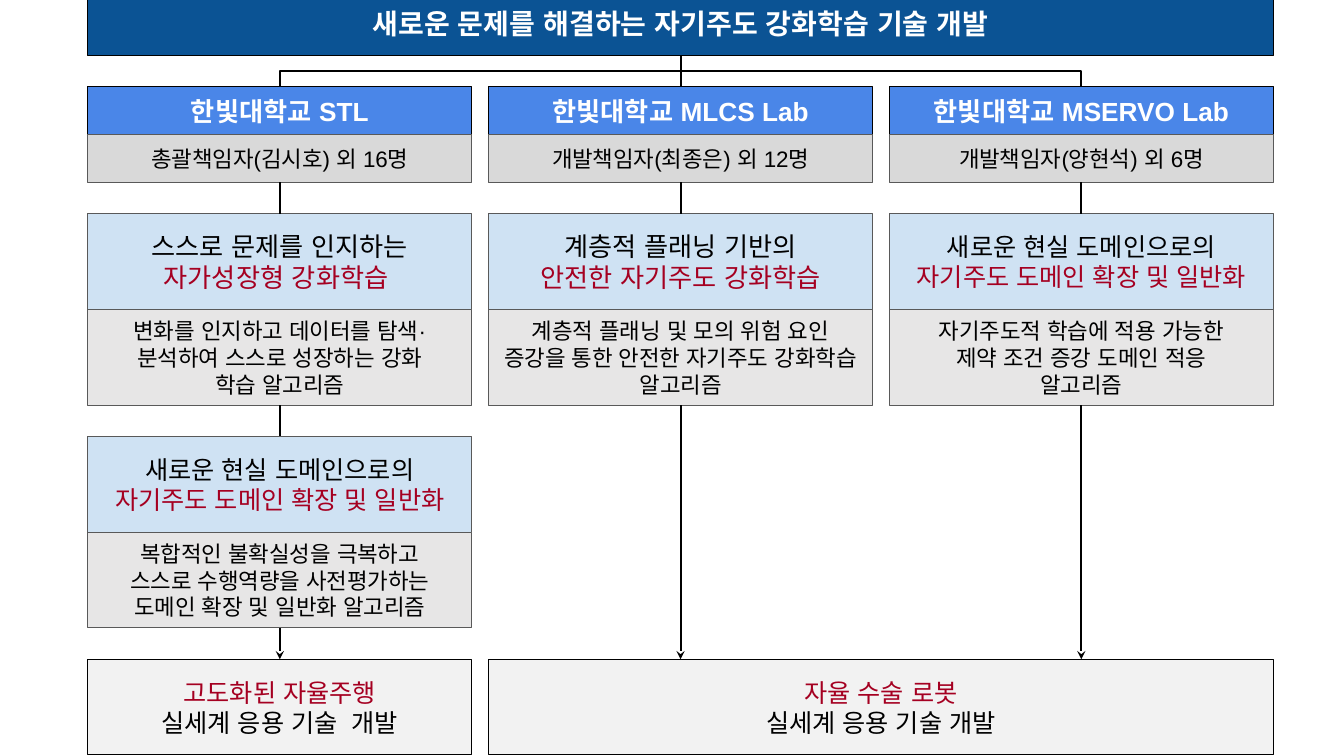
"""Builds a research organisation chart with three lab columns and two goals."""
import copy

import pptx
import pptx.dml.color
import pptx.enum.shapes
import pptx.enum.text
import pptx.oxml
import pptx.oxml.ns
import pptx.util

Inches = pptx.util.Inches
qn = pptx.oxml.ns.qn

COLORS = {
    "navy": "0B5394", "blue": "4A86E8", "sky": "CFE2F3", "silver": "D9D9D9",
    "gray": "E7E6E6", "pale": "F2F2F2", "edge": "595959",
    "black": "000000", "white": "FFFFFF", "red": "A50021",
}
STYLES = {
    "title": {"fill": "navy", "line": "black", "inks": ["white"], "bold": True},
    "lab": {"fill": "blue", "line": "black", "inks": ["white"], "bold": True},
    "lead": {"fill": "silver", "line": "edge", "inks": ["black"], "bold": False},
    "topic": {"fill": "sky", "line": "edge", "inks": ["black", "red"], "bold": False},
    "detail": {"fill": "gray", "line": "edge", "inks": ["black"], "bold": False},
    "goal": {"fill": "pale", "line": "black", "inks": ["red", "black"], "bold": False},
}
TITLE = "새로운 문제를 해결하는 자기주도 강화학습 기술 개발"
DOMAIN_TOPIC = (18, ["새로운 현실 도메인으로의", "자기주도 도메인 확장 및 일반화"])
COLUMNS = [
    {"lab": "한빛대학교 STL", "lead": "총괄책임자(김시호) 외 16명", "tasks": [
        ((18.7, ["스스로 문제를 인지하는", "자가성장형 강화학습 "]),
         ["변화를 인지하고 데이터를 탐색·", "분석하여 스스로 성장하는 강화\n학습 알고리즘"]),
        (DOMAIN_TOPIC,
         ["복합적인 불확실성을 극복하고",
          "스스로 수행역량을 사전평가하는 도메인 확장 및 일반화 알고리즘"]),
    ]},
    {"lab": "한빛대학교 MLCS Lab", "lead": "개발책임자(최종은) 외 12명", "tasks": [
        ((18.7, ["계층적 플래닝 기반의", "안전한 자기주도 강화학습"]),
         ["계층적 플래닝 및 모의 위험 요인", "증강을 통한 안전한 자기주도 강화학습 알고리즘"]),
    ]},
    {"lab": "한빛대학교 MSERVO Lab", "lead": "개발책임자(양현석) 외 6명", "tasks": [
        (DOMAIN_TOPIC,
         ["자기주도적 학습에 적용 가능한", "제약 조건 증강 도메인 적응", "알고리즘"]),
    ]},
]
DRIVING_GOAL = ["고도화된 자율주행", "실세계 응용 기술  개발"]
ROBOT_GOAL = ["자율 수술 로봇", "실세계 응용 기술 개발"]

LEFT, TOTAL_WIDTH, COLUMN_WIDTH = 0.87, 11.76, 3.81
PITCH = (TOTAL_WIDTH - COLUMN_WIDTH) / 2
LAB_TOP, BOX_HEIGHT, GAP, GOAL_TOP = 0.86, 0.95, 0.31, 6.54
HALF_HEIGHT = BOX_HEIGHT / 2
TITLE_HEIGHT = 0.68


def rgb(name):
    return pptx.dml.color.RGBColor.from_string(COLORS[name])


def add_box(slide, kind, left, top, width, height, size, lines):
    style = STYLES[kind]
    shape = slide.shapes.add_shape(
        pptx.enum.shapes.MSO_SHAPE.RECTANGLE,
        Inches(left), Inches(top), Inches(width), Inches(height))
    shape.shadow.inherit = False
    shape.fill.solid()
    shape.fill.fore_color.rgb = rgb(style["fill"])
    shape.line.color.rgb = rgb(style["line"])
    shape.line.width = pptx.util.Pt(0.75)
    frame = shape.text_frame
    frame_format = {"word_wrap": True,
                    "vertical_anchor": pptx.enum.text.MSO_ANCHOR.MIDDLE}
    for side in ("left", "right", "top", "bottom"):
        frame_format["margin_" + side] = Inches(0.13)
    for name, value in frame_format.items():
        setattr(frame, name, value)
    for index, line in enumerate(lines):
        paragraph = frame.add_paragraph() if index else frame.paragraphs[0]
        paragraph.text = line
        paragraph.alignment = pptx.enum.text.PP_ALIGN.CENTER
        ink = style["inks"][index % len(style["inks"])]
        font_format = {"size": pptx.util.Pt(size), "name": "Arial", "bold": style["bold"]}
        for run in paragraph.runs:
            for name, value in font_format.items():
                setattr(run.font, name, value)
            run.font.color.rgb = rgb(ink)
            pptx.oxml.ns.qn("a:ea")
            east_asian = run.font._element.makeelement(qn("a:ea"), {"typeface": "Arial"})
            run.font._element.append(east_asian)
        for line_break in paragraph._p.findall(qn("a:br")):
            line_break.append(copy.deepcopy(paragraph.runs[0].font._element))
    return shape


def add_line(slide, start, end, kind="STRAIGHT"):
    connector = slide.shapes.add_connector(
        getattr(pptx.enum.shapes.MSO_CONNECTOR, kind),
        *(Inches(value) for value in (*start, *end)))
    connector.line.color.rgb = rgb("black")
    connector.line.width = pptx.util.Pt(1.5)
    properties = connector._element.spPr
    properties.append(properties.makeelement(qn("a:effectLst"), {}))
    return connector


def link(slide, upper, lower, arrow=False, center=None):
    connector = add_line(slide, (0, 0), (0, 0))
    connector.begin_connect(upper, 2)
    if center is None:
        connector.end_connect(lower, 0)
    else:
        connector.end_x, connector.end_y = Inches(center), lower.top
    if arrow:
        outline = connector.line._get_or_add_ln()
        outline.append(outline.makeelement(qn("a:tailEnd"), {"type": "stealth"}))


def add_branch(slide, center, title_center):
    middle_x, middle_y = (center + title_center) / 2, LAB_TOP - GAP / 2
    side = 1 if center < title_center else -1
    half_rise, half_run = side * GAP / 2, abs(center - title_center) / 2
    connector = add_line(slide, (middle_x + half_rise, middle_y + half_run),
                         (middle_x - half_rise, middle_y - half_run), "ELBOW")
    degrees = 90 if side == 1 else 270
    connector._element.spPr.find(qn("a:xfrm")).set("rot", str(degrees * 60000))


def main():
    presentation = pptx.Presentation()
    presentation.slide_width = Inches(13.33)
    presentation.slide_height = Inches(7.5)
    slide = presentation.slides.add_slide(presentation.slide_layouts[6])

    title = add_box(slide, "title", LEFT, LAB_TOP - GAP - TITLE_HEIGHT,
                    TOTAL_WIDTH, TITLE_HEIGHT, 20, [TITLE])
    title.text_frame.vertical_anchor = pptx.enum.text.MSO_ANCHOR.TOP
    title.text_frame.paragraphs[0].line_spacing = 1.2
    title_center = LEFT + TOTAL_WIDTH / 2

    driving = add_box(slide, "goal", LEFT, GOAL_TOP, COLUMN_WIDTH, BOX_HEIGHT,
                      18, DRIVING_GOAL)
    robot = add_box(slide, "goal", LEFT + PITCH, GOAL_TOP, TOTAL_WIDTH - PITCH,
                    BOX_HEIGHT, 18, ROBOT_GOAL)

    for index, column in enumerate(COLUMNS):
        left = LEFT + index * PITCH
        center = left + COLUMN_WIDTH / 2
        lab = add_box(slide, "lab", left, LAB_TOP, COLUMN_WIDTH, HALF_HEIGHT,
                      18.7, [column["lab"]])
        previous = add_box(slide, "lead", left, LAB_TOP + HALF_HEIGHT, COLUMN_WIDTH,
                           HALF_HEIGHT, 16, [column["lead"]])
        top = LAB_TOP + BOX_HEIGHT + GAP
        for (size, topic_lines), detail_lines in column["tasks"]:
            topic = add_box(slide, "topic", left, top, COLUMN_WIDTH, BOX_HEIGHT,
                            size, topic_lines)
            link(slide, previous, topic)
            previous = add_box(slide, "detail", left, top + BOX_HEIGHT, COLUMN_WIDTH,
                               BOX_HEIGHT, 16, detail_lines)
            top += 2 * BOX_HEIGHT + GAP
        if index == 0:
            link(slide, previous, driving, arrow=True)
        else:
            link(slide, previous, robot, arrow=True, center=center)
        if index == 1:
            link(slide, title, lab)
        else:
            add_branch(slide, center, title_center)

    presentation.save("out.pptx")


if __name__ == "__main__":
    main()
